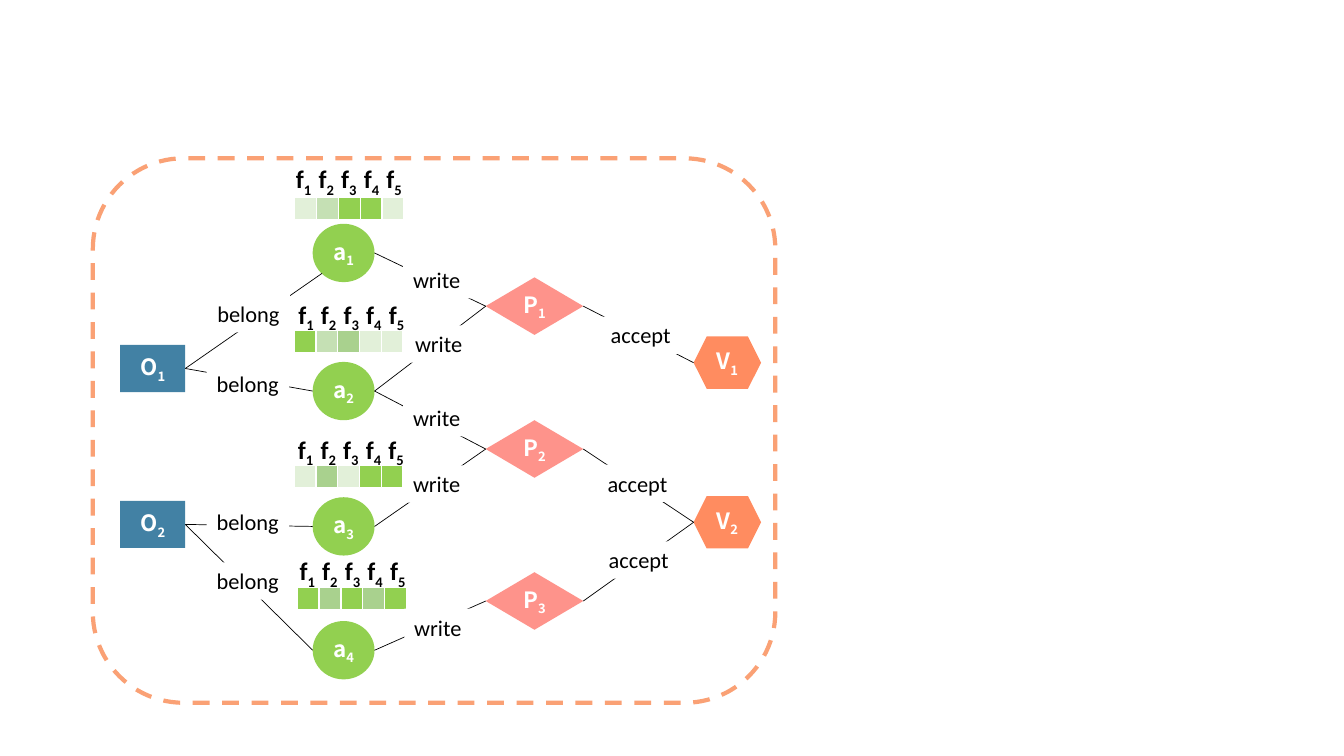
from lxml import etree
from pptx import Presentation
from pptx.dml.color import RGBColor
from pptx.enum.dml import MSO_LINE
from pptx.enum.shapes import MSO_CONNECTOR, MSO_SHAPE
from pptx.enum.text import MSO_ANCHOR, PP_ALIGN
from pptx.oxml.ns import qn
from pptx.util import Cm, Pt

LEFT, CENTER = PP_ALIGN.LEFT, PP_ALIGN.CENTER
TOP, MIDDLE = MSO_ANCHOR.TOP, MSO_ANCHOR.MIDDLE
RECTANGLE = MSO_SHAPE.RECTANGLE

THEME = {
    "white": "FFFFFF", "black": "000000", "frame": "FAA175",
    "O": "4281A4", "a": "92D050", "P": "FE938B", "V": "FF8C60",
    "levels": ["E2F0D9", "C5E0B4", "A9D18E", "92D050"],
    "node_font": "Noto Sans CJK SC", "text_font": "Calibri",
    "node_size": 16, "feature_size": 18, "edge_size": 16,
    "frame_line": 3, "cell_line": 1, "edge_line": 0.5,
}

# Content; all lengths in centimetres
FRAME = (2.34, 3.99, 17.2, 13.72)

# letter: (outline, left, width, height, top of each numbered node)
NODE_KINDS = {
    "O": (RECTANGLE, 3.03, 1.64, 1.19, [8.69, 12.62]),
    "a": (MSO_SHAPE.OVAL, 7.88, 1.56, 1.47, [5.64, 9.12, 12.53, 15.65]),
    "P": (MSO_SHAPE.DIAMOND, 12.24, 2.46, 1.45, [6.99, 10.59, 14.42]),
    "V": (MSO_SHAPE.HEXAGON, 17.48, 1.7, 1.32, [8.48, 12.5]),
}

# (cells left, cells top, names left, names top, level of each feature)
FEATURE_ROWS = [
    (7.43, 4.98, 7.21, 4.0, [0, 1, 3, 3, 0]),
    (7.41, 8.33, 7.27, 7.41, [3, 1, 2, 0, 0]),
    (7.41, 11.73, 7.26, 10.82, [0, 2, 0, 3, 3]),
    (7.49, 14.81, 7.3, 13.88, [3, 2, 3, 2, 3]),
]
CELL_SIDE = 0.55
NAME_PITCH, NAME_WIDTH, NAME_HEIGHT = 0.57, 0.94, 0.89

# label: (width, alignment)
EDGE_LABELS = {"belong": (2.08, LEFT), "write": (1.9, LEFT), "accept": (2.11, CENTER)}
LABEL_HEIGHT = 0.94
# (start node, end node, label, label left, label top)
EDGES = [
    ("O1", "a1", "belong", 5.23, 7.44),
    ("O1", "a2", "belong", 5.21, 9.19),
    ("O2", "a3", "belong", 5.21, 12.67),
    ("O2", "a4", "belong", 5.21, 14.17),
    ("a1", "P1", "write", 10.16, 6.58),
    ("a2", "P1", "write", 10.21, 8.2),
    ("a2", "P2", "write", 10.16, 10.06),
    ("a3", "P2", "write", 10.16, 11.73),
    ("a4", "P3", "write", 10.19, 15.34),
    ("P1", "V1", "accept", 15.09, 7.98),
    ("P2", "V2", "accept", 15.01, 11.71),
    ("P3", "V2", "accept", 15.04, 13.64),
]
# Share of the node's width and height where an edge arrives
LEFT_MIDDLE = (0, 0.5)
ARRIVALS = {("O1", "a1"): (0.15, 0.85)}


def color(value):
    return RGBColor.from_string(value)


def add_shape(slide, outline, box, fill=None, line=None, line_width=0):
    shape = slide.shapes.add_shape(outline, *map(Cm, box))
    shape.shadow.inherit = False
    if fill:
        shape.fill.solid()
        shape.fill.fore_color.rgb = color(fill)
    else:
        shape.fill.background()
    if line:
        shape.line.color.rgb = color(line)
        shape.line.width = Pt(line_width)
    else:
        shape.line.fill.background()
    return shape


def write_text(shape, text, font, size, ink, bold=False, subscript="",
               alignment=LEFT, anchor=TOP, wrap=True):
    frame = shape.text_frame
    frame.word_wrap = wrap
    frame.vertical_anchor = anchor
    frame.margin_right = Cm(0.25 if alignment == CENTER else 0)
    paragraph = frame.paragraphs[0]
    paragraph.alignment = alignment
    for part in filter(None, (text, subscript)):
        run = paragraph.add_run()
        run.text = part
        run.font.name = font
        run.font.size = Pt(size)
        run.font.bold = bold
        run.font.color.rgb = color(ink)
    if subscript:
        run.font._element.set("baseline", "-25000")


def add_edge(slide, start, end):
    edge = slide.shapes.add_connector(MSO_CONNECTOR.STRAIGHT, *map(Cm, start + end))
    edge.line.color.rgb = color(THEME["black"])
    edge.line.width = Pt(THEME["edge_line"])
    etree.SubElement(edge._element.spPr, qn("a:effectLst"))


def point_on(box, share):
    left, top, width, height = box
    return left + width * share[0], top + height * share[1]


def main():
    presentation = Presentation()
    presentation.slide_width, presentation.slide_height = Cm(33.87), Cm(19.05)
    slide = presentation.slides.add_slide(presentation.slide_layouts[6])

    # Dashed frame
    frame = add_shape(slide, MSO_SHAPE.ROUNDED_RECTANGLE, FRAME,
                      line=THEME["frame"], line_width=THEME["frame_line"])
    frame.line.dash_style = MSO_LINE.DASH

    # Nodes
    boxes = {}
    for letter, (outline, left, width, height, tops) in NODE_KINDS.items():
        for number, top in enumerate(tops, 1):
            box = boxes[f"{letter}{number}"] = (left, top, width, height)
            node = add_shape(slide, outline, box, THEME[letter])
            write_text(node, letter, THEME["node_font"], THEME["node_size"],
                       THEME["white"], True, str(number), CENTER, MIDDLE, False)

    # Feature cells and their names
    for cell_left, cell_top, name_left, name_top, levels in FEATURE_ROWS:
        for index, level in enumerate(levels):
            box = (cell_left + index * CELL_SIDE, cell_top, CELL_SIDE, CELL_SIDE)
            add_shape(slide, RECTANGLE, box, THEME["levels"][level],
                      THEME["white"], THEME["cell_line"])
            name = slide.shapes.add_textbox(
                Cm(name_left + index * NAME_PITCH), Cm(name_top),
                Cm(NAME_WIDTH), Cm(NAME_HEIGHT))
            write_text(name, "f", THEME["text_font"], THEME["feature_size"],
                       THEME["black"], True, str(index + 1))

    # Edges first, so that every label covers the lines beneath it
    for start, end, *_ in EDGES:
        arrival = ARRIVALS.get((start, end), LEFT_MIDDLE)
        add_edge(slide, point_on(boxes[start], (1, 0.5)), point_on(boxes[end], arrival))
    for _, _, text, left, top in EDGES:
        width, alignment = EDGE_LABELS[text]
        label = add_shape(slide, RECTANGLE, (left, top, width, LABEL_HEIGHT), THEME["white"])
        write_text(label, text, THEME["text_font"], THEME["edge_size"],
                   THEME["black"], alignment=alignment)

    presentation.save("out.pptx")


if __name__ == "__main__":
    main()
